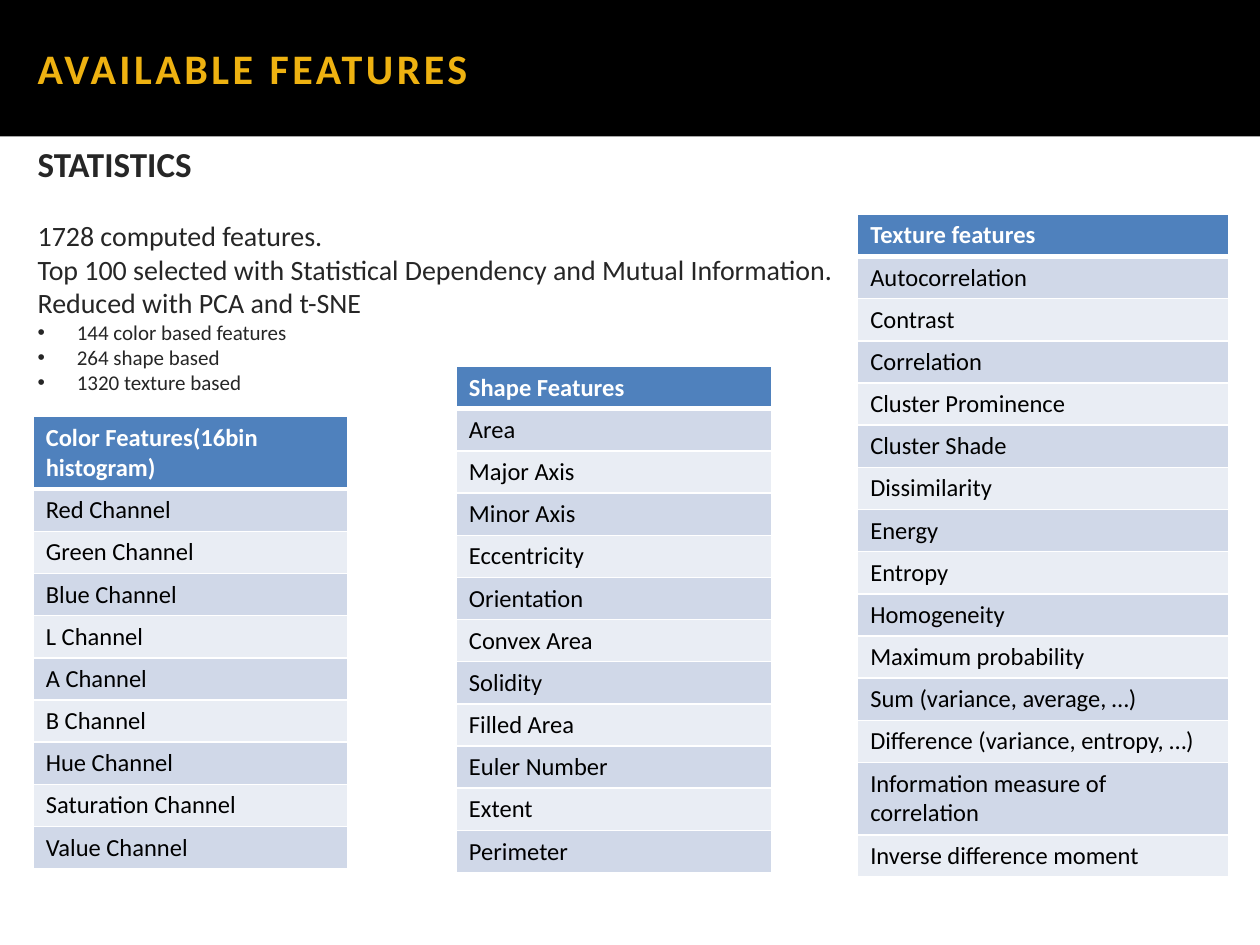
import pptx
import pptx.dml.color
import pptx.enum.shapes
import pptx.enum.text
import pptx.oxml.ns
import pptx.util
from lxml import etree

Cm = pptx.util.Cm
Pt = pptx.util.Pt
qn = pptx.oxml.ns.qn
RGBColor = pptx.dml.color.RGBColor

COLORS = {
    "banner": "000000",
    "title": "EEB211",
    "body": "262626",
    "header": "4F81BD",
    "odd": "D0D8E8",
    "even": "E9EDF4",
    "white": "FFFFFF",
    "cell_text": "000000",
}
INDENT = Cm(0.79)


def write_text(paragraph, text, *, size, color, bold=False, spacing=None,
               before=None, justified=False, bullet=False):
    if justified:
        paragraph.alignment = pptx.enum.text.PP_ALIGN.JUSTIFY
        properties = paragraph._p.get_or_add_pPr()
        properties.set("marL", str(INDENT))
        properties.set("indent", str(-INDENT))
        if bullet:
            etree.SubElement(properties, qn("a:buFont"), typeface="Arial")
            etree.SubElement(properties, qn("a:buChar"), char="•")
        else:
            etree.SubElement(properties, qn("a:buNone"))
    if before is not None:
        paragraph.space_before = Pt(before)
    run = paragraph.add_run()
    run.text = text
    run.font.name = "Calibri"
    run.font.size = Pt(size)
    run.font.bold = bold
    run.font.color.rgb = RGBColor.from_string(COLORS[color])
    if spacing is not None:
        run._r.get_or_add_rPr().set("spc", str(spacing * 100))


def set_borders(cell, top, bottom):
    """Draw white cell borders; top and bottom are widths in points."""
    properties = cell._tc.get_or_add_tcPr()
    widths = {"a:lnL": 1, "a:lnR": 1, "a:lnT": top, "a:lnB": bottom}
    for position, (tag, width) in enumerate(widths.items()):
        line = etree.Element(qn(tag), w=str(Pt(width)))
        fill = etree.SubElement(line, qn("a:solidFill"))
        etree.SubElement(fill, qn("a:srgbClr"), val=COLORS["white"])
        properties.insert(position, line)


presentation = pptx.Presentation()
presentation.slide_width = Cm(25.4)
presentation.slide_height = Cm(19.05)
slide = presentation.slides.add_slide(presentation.slide_layouts[6])

# Title banner
banner = slide.shapes.add_shape(
    pptx.enum.shapes.MSO_SHAPE.RECTANGLE, 0, 0, Cm(25.4), Cm(2.75))
banner.shadow.inherit = False
banner.fill.solid()
banner.fill.fore_color.rgb = RGBColor.from_string(COLORS["banner"])
banner.line.fill.background()
title_frame = banner.text_frame
title_frame.word_wrap = True
title_frame.vertical_anchor = pptx.enum.text.MSO_ANCHOR.MIDDLE
title_frame.margin_left = Cm(0.76)
title_paragraph = title_frame.paragraphs[0]
title_paragraph.alignment = pptx.enum.text.PP_ALIGN.LEFT
write_text(title_paragraph, "AVAILABLE FEATURES", size=24, color="title",
           bold=True, spacing=2)

# Statistics summary
summary = slide.shapes.add_textbox(0, Cm(2.75), Cm(25.4), Cm(5.87))
summary_frame = summary.text_frame
summary_frame.word_wrap = True
summary_frame.margin_left = summary_frame.margin_right = Cm(0.76)
summary_lines = [
    ("STATISTICS", {"size": 20, "bold": True}),
    ("1728 computed features.", {"size": 16, "before": 19.5}),
    ("Top 100 selected with Statistical Dependency and Mutual Information.",
     {"size": 16}),
    ("Reduced with PCA and t-SNE", {"size": 16}),
    ("144 color based features", {"size": 12, "bullet": True}),
    ("264 shape based", {"size": 12, "bullet": True}),
    ("1320 texture based", {"size": 12, "bullet": True}),
]
for index, (text, text_format) in enumerate(summary_lines):
    paragraph = (summary_frame.add_paragraph() if index
                 else summary_frame.paragraphs[0])
    write_text(paragraph, text, color="body", justified=True, **text_format)

# Feature tables: left, top and width in cm, then header and rows
feature_tables = [
    (0.67, 8.4, 6.35, [
        "Color Features(16bin histogram)", "Red Channel", "Green Channel",
        "Blue Channel", "L Channel", "A Channel", "B Channel", "Hue Channel",
        "Saturation Channel", "Value Channel"]),
    (9.2, 7.39, 6.35, [
        "Shape Features", "Area", "Major Axis", "Minor Axis", "Eccentricity",
        "Orientation", "Convex Area", "Solidity", "Filled Area",
        "Euler Number", "Extent", "Perimeter"]),
    (17.29, 4.32, 7.48, [
        "Texture features", "Autocorrelation", "Contrast", "Correlation",
        "Cluster Prominence", "Cluster Shade", "Dissimilarity", "Energy",
        "Entropy", "Homogeneity", "Maximum probability",
        "Sum (variance, average, …)", "Difference (variance, entropy, …)",
        "Information measure of correlation", "Inverse difference moment"]),
]
two_line_rows = {"Color Features(16bin histogram)",
                 "Information measure of correlation"}
for left, top, width, labels in feature_tables:
    heights = [Cm(1.46 if label in two_line_rows else 0.85)
               for label in labels]
    table = slide.shapes.add_table(
        len(labels), 1, Cm(left), Cm(top), Cm(width), sum(heights)).table
    for index, label in enumerate(labels):
        table.rows[index].height = heights[index]
        is_header = index == 0
        fill_name = "header" if is_header else ("odd" if index % 2 else "even")
        cell = table.cell(index, 0)
        cell.fill.solid()
        cell.fill.fore_color.rgb = RGBColor.from_string(COLORS[fill_name])
        set_borders(cell, top=3 if index == 1 else 1,
                    bottom=3 if is_header else 1)
        write_text(cell.text_frame.paragraphs[0], label, size=14,
                   color="white" if is_header else "cell_text",
                   bold=is_header)

presentation.save("out.pptx")
